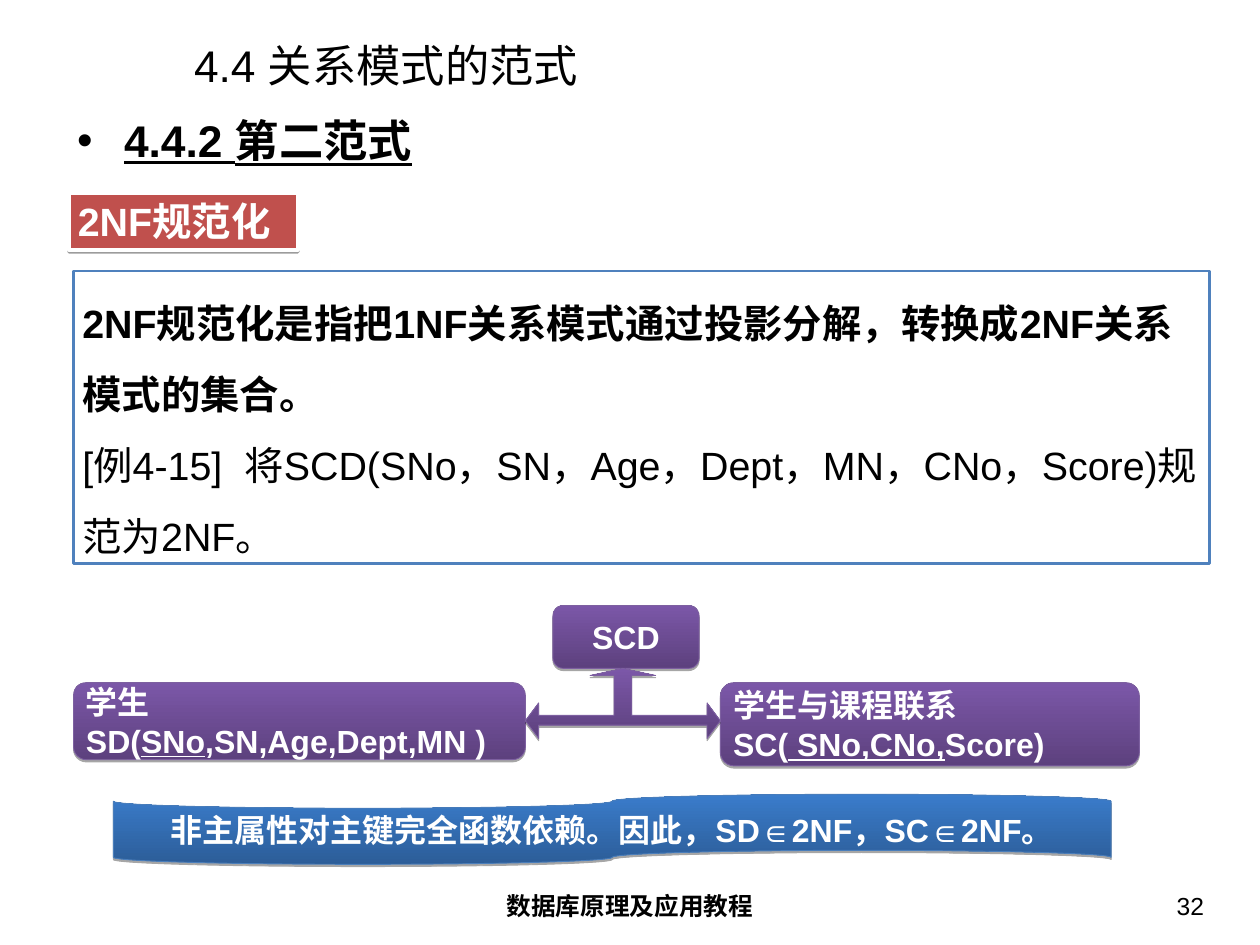
import lxml.etree
import pptx
import pptx.dml.color
import pptx.enum.shapes
import pptx.enum.text
import pptx.oxml.ns
import pptx.util

Inches = pptx.util.Inches
Pt = pptx.util.Pt
RGBColor = pptx.dml.color.RGBColor
Preset = pptx.enum.shapes.MSO_SHAPE
Align = pptx.enum.text.PP_ALIGN
Anchor = pptx.enum.text.MSO_ANCHOR
AutoSize = pptx.enum.text.MSO_AUTO_SIZE
qn = pptx.oxml.ns.qn

BLACK = RGBColor(0x00, 0x00, 0x00)
WHITE = RGBColor(0xFF, 0xFF, 0xFF)
RED = RGBColor(0xC0, 0x50, 0x4D)
FRAME_BLUE = RGBColor(0x4F, 0x81, 0xBD)
PURPLE_DARK = RGBColor(0x5D, 0x41, 0x7E)
PURPLE_LIGHT = RGBColor(0x7B, 0x57, 0xA8)
PURPLE_LINE = RGBColor(0x7D, 0x60, 0xA0)
BLUE_DARK = RGBColor(0x2C, 0x5D, 0x98)
BLUE_LIGHT = RGBColor(0x3A, 0x7C, 0xCB)
BLUE_LINE = RGBColor(0x4A, 0x7E, 0xBB)
PURPLE = (PURPLE_DARK, PURPLE_LIGHT, PURPLE_LINE)
BLUE = (BLUE_DARK, BLUE_LIGHT, BLUE_LINE)


def write(paragraph, text, size=26, color=BLACK, bold=False, underline=False, align=Align.LEFT):
    paragraph.alignment = align
    run = paragraph.add_run()
    run.text = text
    run.font.name = "Arial"
    run.font.size = Pt(size)
    run.font.color.rgb = color
    run.font.bold = bold
    run.font.underline = underline


class LectureSlide:
    def __init__(self, deck):
        self.slide = deck.slides.add_slide(deck.slide_layouts[1])
        self.shapes = self.slide.shapes

    def frame(self, shape, margins=(0.1, 0.05), anchor=Anchor.MIDDLE, wrap=True, grow=False):
        frame = shape.text_frame
        frame.margin_left = frame.margin_right = Inches(margins[0])
        frame.margin_top = frame.margin_bottom = Inches(margins[1])
        frame.vertical_anchor = anchor
        frame.word_wrap = wrap
        frame.auto_size = AutoSize.SHAPE_TO_FIT_TEXT if grow else AutoSize.NONE
        return frame

    def placeholder(self, index, box, text, anchor, bullet=None, **style):
        holder = self.slide.placeholders[index]
        holder.left, holder.top, holder.width, holder.height = map(Inches, box)
        paragraph = self.frame(holder, (0.14, 0.07), anchor).paragraphs[0]
        if bullet:
            properties = paragraph._p.get_or_add_pPr()
            properties.set("marL", str(Inches(0.53)))
            properties.set("indent", str(-Inches(0.53)))
            lxml.etree.SubElement(properties, qn("a:buChar"), char=bullet)
        paragraph.space_before = Pt(0)
        write(paragraph, text, size=36, **style)

    def footer(self, box, text, **style):
        footer = self.shapes.add_textbox(*map(Inches, box))
        frame = self.frame(footer, (0.14, 0.07), Anchor.TOP)
        write(frame.paragraphs[0], text, size=20, **style)

    def shadow(self, shape, opacity, distance):
        shape.shadow.inherit = False
        effects = shape._element.spPr.find(qn("a:effectLst"))
        outer = lxml.etree.SubElement(
            effects, qn("a:outerShdw"), blurRad="0", dist=str(Pt(distance)),
            dir="5400000", rotWithShape="0")
        tint = lxml.etree.SubElement(outer, qn("a:srgbClr"), val=str(BLACK))
        lxml.etree.SubElement(tint, qn("a:alpha"), val=str(opacity * 1000))

    def glossy(self, shape, palette):
        dark, light, edge = palette
        shape.fill.gradient()
        shape.fill.gradient_angle = 90
        for stop, position, color in zip(shape.fill.gradient_stops, (0, 1), (dark, light)):
            stop.position = position
            stop.color.rgb = color
        shape.line.color.rgb = edge
        shape.line.width = Pt(0.75)
        self.shadow(shape, 35, 1.8)

    def panel(self, box, fill, edge, edge_width, wrap=True):
        panel = self.shapes.add_shape(Preset.RECTANGLE, *map(Inches, box))
        panel.shadow.inherit = False
        panel.fill.solid()
        panel.fill.fore_color.rgb = fill
        panel.line.color.rgb = edge
        panel.line.width = Pt(edge_width)
        return panel, self.frame(panel, anchor=Anchor.TOP, wrap=wrap, grow=True)

    def label(self, preset, box, palette, lines, align=Align.LEFT):
        label = self.shapes.add_shape(preset, *map(Inches, box))
        self.glossy(label, palette)
        frame = self.frame(label, wrap=False)
        for number, runs in enumerate(lines):
            paragraph = frame.add_paragraph() if number else frame.paragraphs[0]
            for text, underline in runs:
                write(paragraph, text, color=WHITE, bold=True, underline=underline, align=align)

    def three_way_arrow(self, center, half_outline, palette):
        right = [(center + offset, y) for offset, y in half_outline]
        left = [(center - offset, y) for offset, y in reversed(half_outline)]
        outline = [(Inches(x), Inches(y)) for x, y in right + left[:-1]]
        builder = self.shapes.build_freeform(*outline[0], scale=1.0)
        builder.add_line_segments(outline[1:], close=True)
        self.glossy(builder.convert_to_shape(), palette)


def main():
    deck = pptx.Presentation()
    deck.slide_width = Inches(14.22)
    deck.slide_height = Inches(10.66)
    page = LectureSlide(deck)

    page.placeholder(0, (2.05, 0.45, 11.83, 0.57), "4.4 关系模式的范式", Anchor.MIDDLE)
    page.placeholder(1, (0.73, 1.21, 12.8, 0.89), "4.4.2 第二范式", Anchor.TOP,
                     bullet="•", bold=True, underline=True)
    page.footer((4.86, 9.98, 4.5, 0.55), "数据库原理及应用教程", bold=True, align=Align.CENTER)
    page.footer((10.41, 9.98, 3.32, 0.55), "32", align=Align.RIGHT)

    topic, topic_frame = page.panel((0.78, 2.18, 2.58, 0.64), RED, WHITE, 3, wrap=False)
    page.shadow(topic, 38, 1.6)
    write(topic_frame.paragraphs[0], "2NF规范化", size=32, color=WHITE, bold=True)

    _, definition = page.panel((0.83, 3.06, 12.82, 3.3), WHITE, FRAME_BLUE, 2)
    statement, example = definition.paragraphs[0], definition.add_paragraph()
    statement.line_spacing = example.line_spacing = 1.5
    write(statement, "2NF规范化是指把1NF关系模式通过投影分解，转换成2NF关系模式的集合。",
          size=32, bold=True)
    write(example, "[例4-15]  将SCD(SNo，SN，Age，Dept，MN，CNo，Score)规范为2NF。", size=32)

    rounded = Preset.FLOWCHART_ALTERNATE_PROCESS
    page.label(rounded, (0.83, 7.7, 5.1, 0.87), PURPLE, [
        [("学生", False)],
        [("SD(", False), ("SNo", True), (",SN,Age,Dept,MN )", False)]])
    page.label(rounded, (8.13, 7.7, 4.73, 0.94), PURPLE, [
        [("学生与课程联系", False)],
        [("SC(", False), (" SNo,CNo,", True), ("Score)", False)]])
    page.label(rounded, (6.24, 6.83, 1.65, 0.71), PURPLE, [[("SCD", False)]], Align.CENTER)
    page.three_way_arrow(7.03, [
        (0, 7.54), (0.37, 7.62), (0.1, 7.62), (0.1, 8.07), (0.95, 8.07),
        (0.95, 7.93), (1.1, 8.13), (0.95, 8.33), (0.95, 8.18)], PURPLE)
    page.label(Preset.FLOWCHART_PUNCHED_TAPE, (1.28, 8.96, 11.26, 0.79), BLUE,
               [[("非主属性对主键完全函数依赖。因此，SD∈2NF，SC∈2NF。", False)]], Align.CENTER)

    deck.save("out.pptx")


if __name__ == "__main__":
    main()
